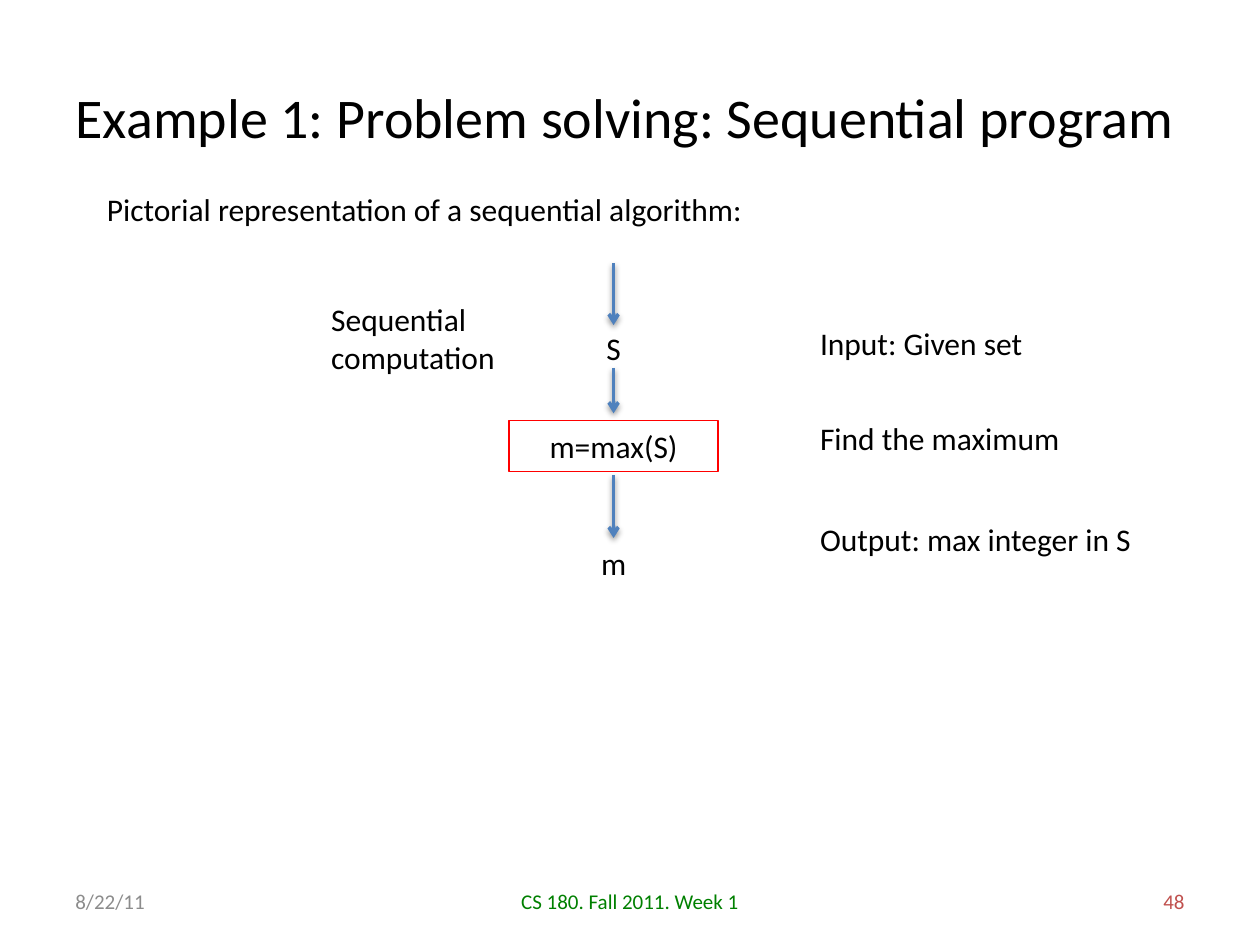
from lxml import etree
from pptx import Presentation
from pptx.dml.color import RGBColor
from pptx.enum.shapes import MSO_CONNECTOR, MSO_SHAPE
from pptx.enum.text import MSO_ANCHOR, MSO_AUTO_SIZE, PP_ALIGN
from pptx.oxml import parse_xml
from pptx.oxml.ns import nsdecls, qn
from pptx.util import Inches, Pt

FONT = "Calibri"
BLACK, BLUE, RED = "000000", "4F81BD", "FF0000"
LEFT, CENTER, RIGHT = PP_ALIGN.LEFT, PP_ALIGN.CENTER, PP_ALIGN.RIGHT
LINE_HEIGHT = 0.4
SHADOW = (
    f'<a:effectLst {nsdecls("a")}>'
    '<a:outerShdw blurRad="40000" dist="20000" dir="5400000" rotWithShape="0">'
    '<a:srgbClr val="000000"><a:alpha val="38000"/></a:srgbClr>'
    '</a:outerShdw></a:effectLst>'
)


def color(value):
    return RGBColor.from_string(value)


def write(frame, lines, size=18, ink=BLACK, align=LEFT, anchor=MSO_ANCHOR.TOP, wrap=True):
    frame.word_wrap = wrap
    frame.vertical_anchor = anchor
    for index, line in enumerate(lines):
        paragraph = frame.paragraphs[0] if index == 0 else frame.add_paragraph()
        paragraph.alignment = align
        run = paragraph.add_run()
        run.text = line
        run.font.name, run.font.size = FONT, Pt(size)
        run.font.color.rgb = color(ink)


def add_text(slide, box, lines, **style):
    shape = slide.shapes.add_textbox(*map(Inches, box))
    write(shape.text_frame, lines, **style)
    return shape


def add_arrow(slide, x, top, bottom):
    arrow = slide.shapes.add_connector(
        MSO_CONNECTOR.STRAIGHT, Inches(x), Inches(top), Inches(x), Inches(bottom))
    arrow.line.color.rgb = color(BLUE)
    arrow.line.width = Pt(2)
    outline = arrow.line._get_or_add_ln()
    etree.SubElement(outline, qn("a:tailEnd")).set("type", "arrow")
    arrow._element.spPr.append(parse_xml(SHADOW))


def add_title(slide, box, text):
    title = slide.shapes.title
    title.left, title.top, title.width, title.height = map(Inches, box)
    write(title.text_frame, [text], size=32, anchor=MSO_ANCHOR.MIDDLE)


def add_flow(slide, box):
    """Vertical flow: input, computation step, output, joined by arrows."""
    left, top, width, height = box
    middle = left + width / 2

    # Input and output values
    value_width = 1.23
    for text, offset in (("S", 0.47), ("m", height - LINE_HEIGHT)):
        value_box = (middle - value_width / 2, top + offset, value_width, LINE_HEIGHT)
        add_text(slide, value_box, [text], align=CENTER)

    # Computation step
    step = slide.shapes.add_shape(
        MSO_SHAPE.RECTANGLE, *map(Inches, (left, top + 1.25, width, LINE_HEIGHT)))
    step.shadow.inherit = False
    step.fill.background()
    step.line.color.rgb = color(RED)
    step.line.width = Pt(0.75)
    write(step.text_frame, ["m=max(S)"], align=CENTER)
    step.text_frame.auto_size = MSO_AUTO_SIZE.SHAPE_TO_FIT_TEXT

    # Arrows
    for start, end in ((0, 0.49), (0.83, 1.19), (1.68, 2.18)):
        add_arrow(slide, middle, top + start, top + end)


def add_notes_column(slide, box):
    """Explanations beside the flow, one for each stage."""
    left, top, width, height = box
    stages = (("Input: Given set", 0), ("Find the maximum", 0.76),
              ("Output: max integer in S", height - LINE_HEIGHT))
    for text, offset in stages:
        add_text(slide, (left, top + offset, width, LINE_HEIGHT), [text])


def add_footer(slide, box):
    """Date, course and slide number across the bottom."""
    left, top, width, height = box
    side, center = 2.33, 3.17
    parts = (
        ("8/22/11", left, side, "8C8C8C", LEFT),
        ("CS 180. Fall 2011. Week 1", left + (width - center) / 2, center, "008000", CENTER),
        ("48", left + width - side, side, "C0504D", RIGHT),
    )
    for text, x, part_width, ink, align in parts:
        add_text(slide, (x, top, part_width, height), [text], size=12, ink=ink,
                 align=align, anchor=MSO_ANCHOR.MIDDLE)


presentation = Presentation()
presentation.slide_width, presentation.slide_height = Inches(10), Inches(7.5)
slide = presentation.slides.add_slide(presentation.slide_layouts[5])

add_title(slide, (0.5, 0.3, 9, 1.25), "Example 1: Problem solving: Sequential program")
add_text(slide, (0.75, 1.46, 5.26, LINE_HEIGHT),
         ["Pictorial representation of a sequential algorithm:"], wrap=False)
add_text(slide, (2.53, 2.33, 1.52, 0.71), ["Sequential", "computation"], wrap=False)
add_flow(slide, (4.04, 2.09, 1.66, 2.58))
add_notes_column(slide, (6.41, 2.52, 2.69, 1.96))
add_footer(slide, (0.5, 6.95, 9, LINE_HEIGHT))

presentation.save("out.pptx")
